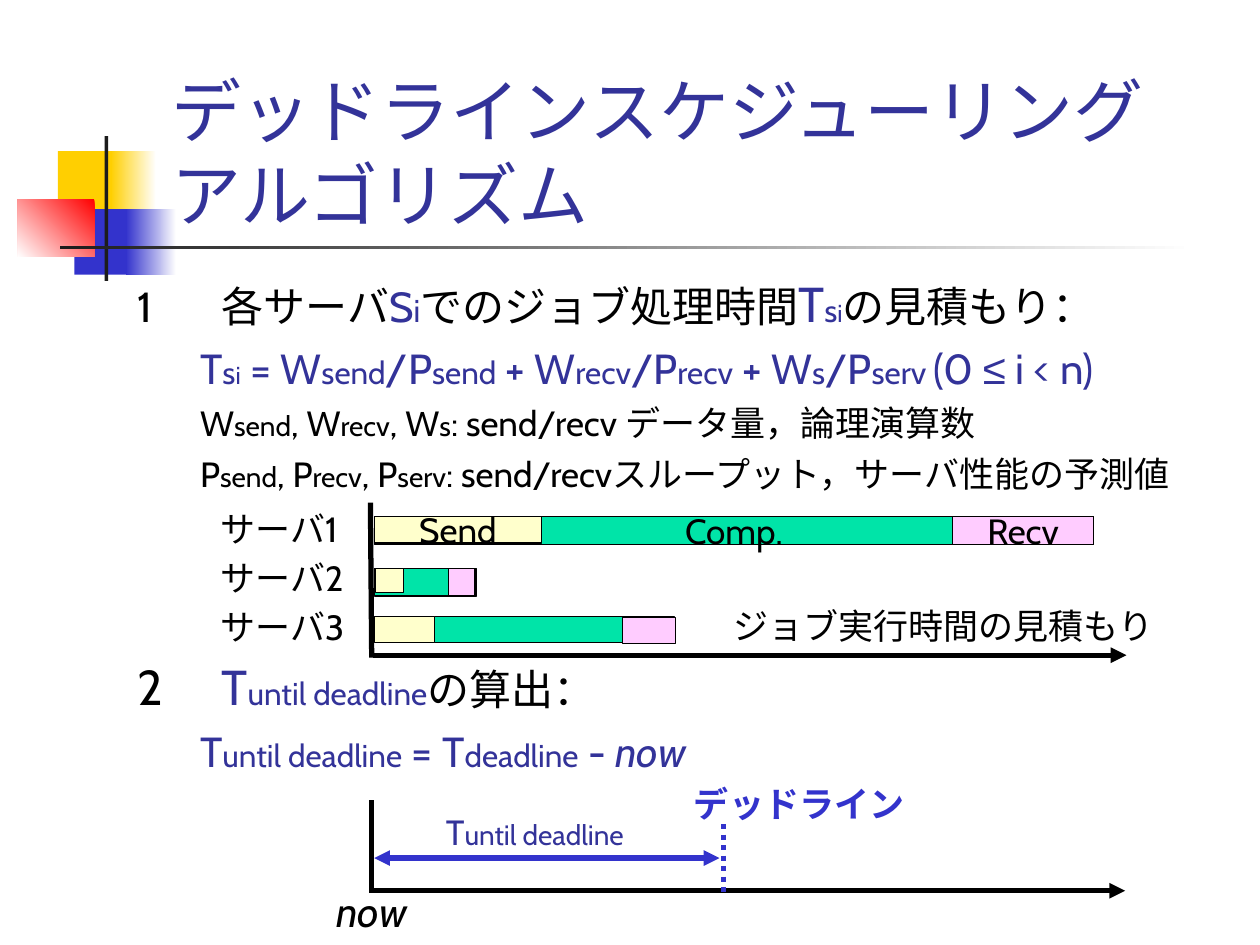
from dataclasses import dataclass
from typing import Optional

from lxml.etree import SubElement
from pptx import Presentation
from pptx.dml.color import RGBColor
from pptx.enum.dml import MSO_LINE
from pptx.enum.shapes import MSO_CONNECTOR, MSO_SHAPE
from pptx.enum.text import MSO_ANCHOR, PP_ALIGN
from pptx.oxml.ns import qn
from pptx.util import Pt

PX = 9144
FONT = "Cabin"
BLACK = RGBColor(0x00, 0x00, 0x00)
WHITE = RGBColor(0xFF, 0xFF, 0xFF)
CHARCOAL = RGBColor(0x1C, 0x1C, 0x1C)
INDIGO = RGBColor(0x33, 0x33, 0x99)
BLUE = RGBColor(0x33, 0x33, 0xCC)
GOLD = RGBColor(0xFF, 0xCF, 0x01)
RED = RGBColor(0xFF, 0x00, 0x00)
SEND = RGBColor(0xFF, 0xFF, 0xCC)
COMP = RGBColor(0x00, 0xE4, 0xA8)
RECV = RGBColor(0xFF, 0xCC, 0xFF)


@dataclass(frozen=True)
class Box:
    left: int
    top: int
    width: int
    height: int

    def emu(self) -> tuple[int, ...]:
        return tuple(v * PX for v in (self.left, self.top, self.width, self.height))


@dataclass(frozen=True)
class Words:
    text: str
    size: int
    color: RGBColor = BLACK
    font: str = FONT
    bold: bool = False
    italic: bool = False


@dataclass(frozen=True)
class Line:
    words: list[Words]
    margin: int = 0
    indent: int = 0
    before: int = 0


@dataclass(frozen=True)
class Ornament:
    box: Box
    start: RGBColor
    end: Optional[RGBColor] = None
    angle: int = 180


@dataclass(frozen=True)
class Server:
    name: str
    label_top: int
    bars: list[tuple[Box, RGBColor, str]]


def write(paragraph, words: list[Words]) -> None:
    for part in words:
        run = paragraph.add_run()
        run.text = part.text
        font = run.font
        font.size, font.name = Pt(part.size), part.font
        font.bold, font.italic = part.bold, part.italic
        font.color.rgb = part.color


def add_text(slide, box: Box, lines: list[Line], wrap: bool = False):
    frame = slide.shapes.add_textbox(*box.emu()).text_frame
    frame.word_wrap = wrap
    for number, line in enumerate(lines):
        paragraph = frame.add_paragraph() if number else frame.paragraphs[0]
        paragraph.space_before = Pt(line.before)
        properties = paragraph._p.get_or_add_pPr()
        properties.set("marL", str(line.margin * PX))
        properties.set("indent", str(line.indent * PX))
        write(paragraph, line.words)
    return frame


def add_rect(slide, box: Box):
    rect = slide.shapes.add_shape(MSO_SHAPE.RECTANGLE, *box.emu())
    rect.shadow.inherit = False
    return rect


def add_ornament(slide, ornament: Ornament) -> None:
    rect = add_rect(slide, ornament.box)
    rect.line.fill.background()
    if ornament.end is None:
        rect.fill.solid()
        rect.fill.fore_color.rgb = ornament.start
        return
    rect.fill.gradient()
    rect.fill.gradient_angle = 360 - ornament.angle
    for stop, color, position in zip(rect.fill.gradient_stops, (ornament.start, ornament.end), (0, 1)):
        stop.color.rgb, stop.position = color, position


def add_bar(slide, box: Box, color: RGBColor, label: str) -> None:
    bar = add_rect(slide, box)
    bar.fill.solid()
    bar.fill.fore_color.rgb = color
    bar.line.color.rgb, bar.line.width = BLACK, Pt(0.75)
    if label:
        frame = bar.text_frame
        frame.word_wrap, frame.vertical_anchor = False, MSO_ANCHOR.MIDDLE
        frame.paragraphs[0].alignment = PP_ALIGN.CENTER
        write(frame.paragraphs[0], [Words(label, 20)])


def add_line(slide, start: tuple[int, int], end: tuple[int, int], color: RGBColor = BLACK,
             arrows: tuple[str, ...] = (), dash: Optional[MSO_LINE] = None) -> None:
    line = slide.shapes.add_connector(MSO_CONNECTOR.STRAIGHT, *(v * PX for v in start + end))
    line.line.color.rgb, line.line.width = color, Pt(3)
    if dash is not None:
        line.line.dash_style = dash
    for arrow in arrows:
        SubElement(line.line._get_or_add_ln(), qn(f"a:{arrow}"), type="triangle")
    SubElement(line._element.spPr, qn("a:effectLst"))


def symbols(parts: list[str], large: int, small: int, color: RGBColor) -> list[Words]:
    return [Words(text, small if i % 2 else large, color) for i, text in enumerate(parts)]


def numbered(words: list[Words]) -> Line:
    return Line(words, 67, -67, 6)


def detail(words: list[Words], before: int) -> Line:
    return Line(words, 108, -58, before)


ORNAMENTS = [
    Ornament(Box(46, 120, 48, 52), GOLD),
    Ornament(Box(88, 120, 36, 52), WHITE, GOLD),
    Ornament(Box(59, 166, 46, 52), BLUE),
    Ornament(Box(100, 166, 40, 52), WHITE, BLUE),
    Ornament(Box(14, 158, 61, 46), RED, WHITE, 135),
    Ornament(Box(83, 108, 3, 115), CHARCOAL),
    Ornament(Box(48, 195, 900, 3), WHITE, CHARCOAL),
]
ESTIMATE = [
    numbered([Words("1\t各サーバ", 24), Words("S", 24, INDIGO), Words("i", 18, INDIGO),
              Words("でのジョブ処理時間", 24), Words("T", 28, INDIGO), Words("s", 18, INDIGO),
              Words("i", 14, INDIGO), Words("の見積もり：", 24)]),
    detail([Words("T", 24, INDIGO), Words("s", 18, INDIGO), Words("i", 14, INDIGO)]
           + symbols([" = W", "send", "/P", "send", " + W", "recv", "/P", "recv", " + W", "s",
                      "/P", "serv ", "(0 "], 24, 18, INDIGO)
           + [Words("≤", 24, INDIGO, "Arial"), Words(" i < n)", 24, INDIGO)], 6),
    detail(symbols(["W", "send", ", W", "recv", ", W", "s",
                    ": send/recv データ量，論理演算数"], 20, 16, BLACK), 5),
    detail(symbols(["P", "send", ", P", "recv", ", P", "serv",
                    ": send/recvスループット，サーバ性能の予測値"], 20, 16, BLACK), 5),
]
REMAINING = [
    numbered([Words("2\t", 28), Words("T", 28, INDIGO), Words("until deadline", 18, INDIGO),
              Words("の算出：", 24)]),
    detail(symbols(["T", "until deadline", " = T", "deadline", " - "], 24, 18, INDIGO)
           + [Words("now", 24, INDIGO, italic=True)], 6),
]
SERVERS = [
    Server("サーバ1", 398, [(Box(297, 410, 571, 22), COMP, "Comp."),
                         (Box(297, 410, 133, 21), SEND, "Send"),
                         (Box(756, 410, 112, 22), RECV, "Recv")]),
    Server("サーバ2", 437, [(Box(297, 451, 81, 22), COMP, ""),
                         (Box(298, 451, 22, 19), SEND, ""),
                         (Box(356, 451, 21, 22), RECV, "")]),
    Server("サーバ3", 476, [(Box(297, 489, 238, 21), COMP, ""),
                         (Box(297, 489, 48, 21), SEND, ""),
                         (Box(494, 490, 42, 21), RECV, "")]),
]
CAPTIONS = [
    (Box(572, 475, 354, 44), [Words("ジョブ実行時間の見積もり", 20)]),
    (Box(257, 698, 82, 50), [Words("now", 24, italic=True)]),
    (Box(541, 616, 187, 44), [Words("デッドライン", 20, BLUE, bold=True)]),
    (Box(344, 638, 180, 44), symbols(["T", "until deadline"], 20, 16, INDIGO)),
]


def main() -> None:
    deck = Presentation()
    deck.slide_width, deck.slide_height = 1000 * PX, 750 * PX
    slide = deck.slides.add_slide(deck.slide_layouts[6])

    for ornament in ORNAMENTS:
        add_ornament(slide, ornament)

    title = add_text(slide, Box(126, 67, 852, 125),
                     [Line([Words("デッドラインスケジューリング", 40, INDIGO)])], wrap=True)
    title.vertical_anchor = MSO_ANCHOR.BOTTOM
    title.paragraphs[0].add_line_break()
    write(title.paragraphs[0], [Words("アルゴリズム", 40, INDIGO)])

    add_text(slide, Box(99, 212, 880, 190), ESTIMATE, wrap=True)
    add_text(slide, Box(99, 516, 880, 110), REMAINING, wrap=True)

    for server in SERVERS:
        add_text(slide, Box(165, server.label_top, 125, 44), [Line([Words(server.name, 20)])])
        for box, color, label in server.bars:
            add_bar(slide, box, color, label)

    add_line(slide, (294, 399), (295, 522))
    add_line(slide, (296, 520), (894, 520), arrows=("tailEnd",))
    add_line(slide, (295, 635), (295, 709))
    add_line(slide, (295, 707), (893, 707), arrows=("tailEnd",))
    add_line(slide, (574, 654), (574, 709), BLUE, dash=MSO_LINE.ROUND_DOT)
    add_line(slide, (297, 681), (571, 681), BLUE, arrows=("headEnd", "tailEnd"))

    for box, words in CAPTIONS:
        add_text(slide, box, [Line(words)])

    deck.save("out.pptx")


if __name__ == "__main__":
    main()
